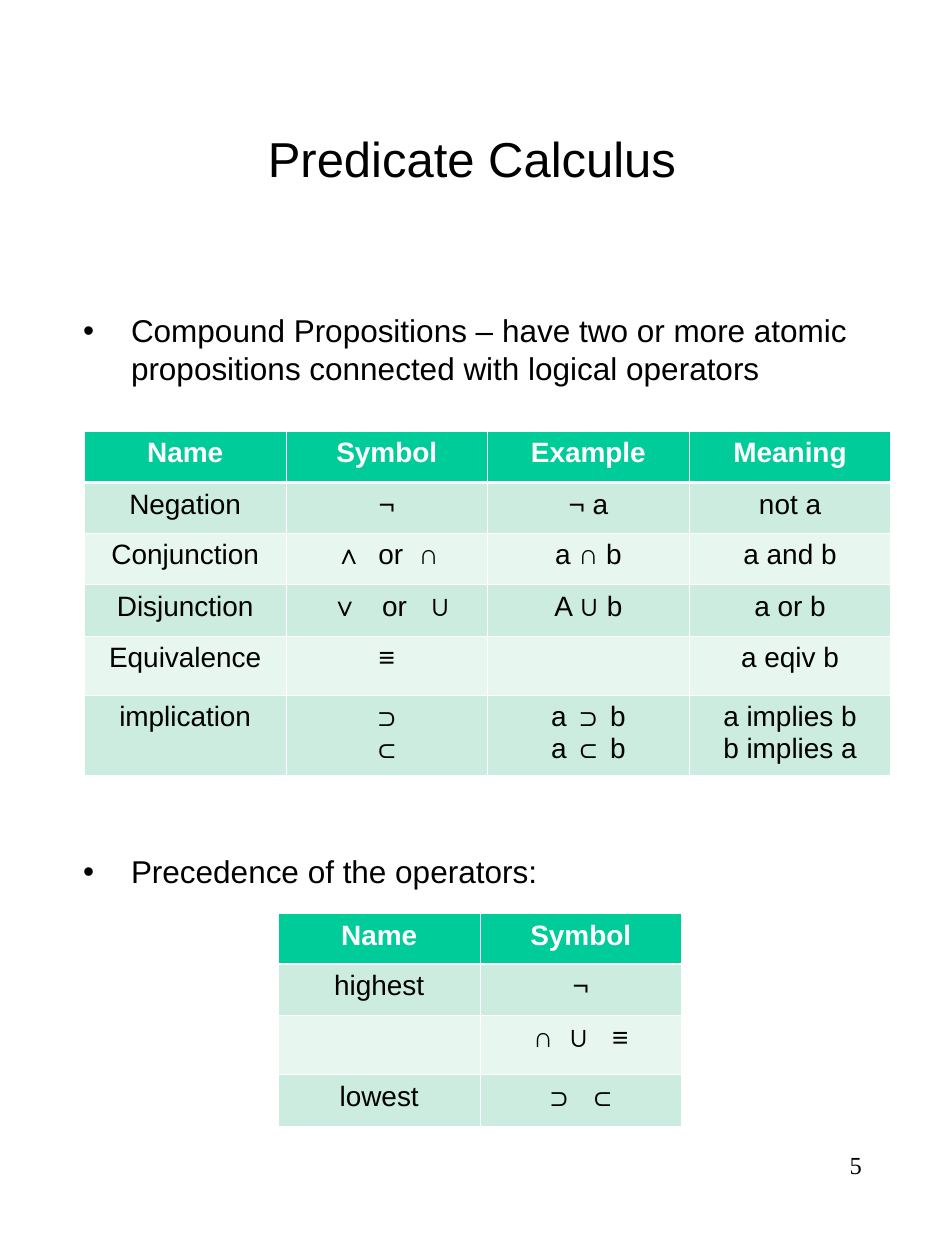
import pptx
import pptx.util
import pptx.dml.color
import pptx.enum.text
import pptx.oxml.ns
from lxml import etree

Inches, Pt = pptx.util.Inches, pptx.util.Pt
RGBColor = pptx.dml.color.RGBColor
PP_ALIGN = pptx.enum.text.PP_ALIGN
MSO_ANCHOR = pptx.enum.text.MSO_ANCHOR
qn = pptx.oxml.ns.qn
COLORS = {"text": "000000", "white": "FFFFFF", "header": "00CC99", "odd": "CBECDE", "even": "E7F6EF"}


def add_run(p, text, size, color="text", font="Arial", bold=False):
    r = p.add_run()
    r.text = text
    r.font.name = font
    r.font.size = Pt(size)
    r.font.bold = bold
    r.font.color.rgb = RGBColor.from_string(COLORS[color])


def add_border(tc_pr, index, side, width):
    ln = etree.Element(qn("a:" + side), w=str(Pt(width)))
    fill = etree.SubElement(ln, qn("a:solidFill"))
    etree.SubElement(fill, qn("a:srgbClr"), val=COLORS["white"])
    tc_pr.insert(index, ln)


prs = pptx.Presentation()
prs.slide_width = Inches(7.5)
prs.slide_height = Inches(10)
s = prs.slides.add_slide(prs.slide_layouts[1])

title, body = s.placeholders
for sp, top, height, anchor in (
    (title, 0.42, 1.67, MSO_ANCHOR.MIDDLE),
    (body, 2.42, 6, MSO_ANCHOR.TOP),
):
    sp.left, sp.top, sp.width, sp.height = Inches(0.56), Inches(top), Inches(6.37), Inches(height)
    tf = sp.text_frame
    tf.word_wrap = True
    tf.auto_size = pptx.enum.text.MSO_AUTO_SIZE.NONE
    tf.vertical_anchor = anchor

p = title.text_frame.paragraphs[0]
p.alignment = PP_ALIGN.CENTER
add_run(p, "Predicate Calculus", 28)

bullets = [
    ("Compound Propositions – have two or more atomic propositions connected with logical operators", 4.5),
    ("Precedence of the operators:", 266),
]
tf = body.text_frame
for i, (text, space) in enumerate(bullets):
    p = tf.add_paragraph() if i else tf.paragraphs[0]
    p.space_before = Pt(space)
    p_pr = p._p.get_or_add_pPr()
    p_pr.set("marL", str(Inches(0.38)))
    p_pr.set("indent", str(Inches(-0.38)))
    bu_color = etree.SubElement(p_pr, qn("a:buClr"))
    etree.SubElement(bu_color, qn("a:srgbClr"), val=COLORS["text"])
    etree.SubElement(p_pr, qn("a:buFont"), typeface="Arial")
    etree.SubElement(p_pr, qn("a:buChar"), char="•")
    add_run(p, text, 18)

sp = s.shapes.add_textbox(Inches(5.38), Inches(9.08), Inches(1.56), Inches(0.67))
tf = sp.text_frame
tf.word_wrap = True
p = tf.paragraphs[0]
p.alignment = PP_ALIGN.RIGHT
add_run(p, "5", 14, font="Times New Roman")

operators = [
    ("Name", "Symbol", "Example", "Meaning"),
    ("Negation", "¬", "¬ a", "not a"),
    ("Conjunction", "∧  or  ∩", "a ∩ b", "a and b"),
    ("Disjunction", " ∨   or   ∪", "A ∪ b", "a or b"),
    ("Equivalence", "≡", "", "a eqiv b"),
    ("implication", "⊃\n⊂", "a ⊃ b\na ⊂ b", "a implies b\nb implies a"),
]
precedence = [
    ("Name", "Symbol"),
    ("highest", "¬"),
    ("", "∩  ∪   ≡"),
    ("lowest", "⊃  ⊂"),
]
tables = [
    (0.67, 3.42, operators, [0.41, 0.4, 0.41, 0.41, 0.47, 0.63]),
    (2.21, 7.25, precedence, [0.4, 0.41, 0.47, 0.41]),
]
col_width = 1.6
for left, top, rows, heights in tables:
    cols = len(rows[0])
    table = s.shapes.add_table(
        len(rows), cols, Inches(left), Inches(top), Inches(cols * col_width), Inches(sum(heights))
    ).table
    for col in table.columns:
        col.width = Inches(col_width)
    for i, (row, height) in enumerate(zip(rows, heights)):
        table.rows[i].height = Inches(height)
        fill = "header" if i == 0 else "odd" if i % 2 else "even"
        for j, text in enumerate(row):
            cell = table.cell(i, j)
            cell.fill.solid()
            cell.fill.fore_color.rgb = RGBColor.from_string(COLORS[fill])
            widths = {"lnL": 0.45, "lnR": 0.45, "lnT": 1.47 if i == 1 else 0.45, "lnB": 1.47 if i == 0 else 0.45}
            for k, (side, width) in enumerate(widths.items()):
                add_border(cell._tc.get_or_add_tcPr(), k, side, width)
            if not text:
                continue
            tf = cell.text_frame
            for k, line in enumerate(text.split("\n")):
                p = tf.add_paragraph() if k else tf.paragraphs[0]
                p.alignment = PP_ALIGN.CENTER
                add_run(p, line, 16, "text" if i else "white", bold=i == 0)

prs.save("out.pptx")
